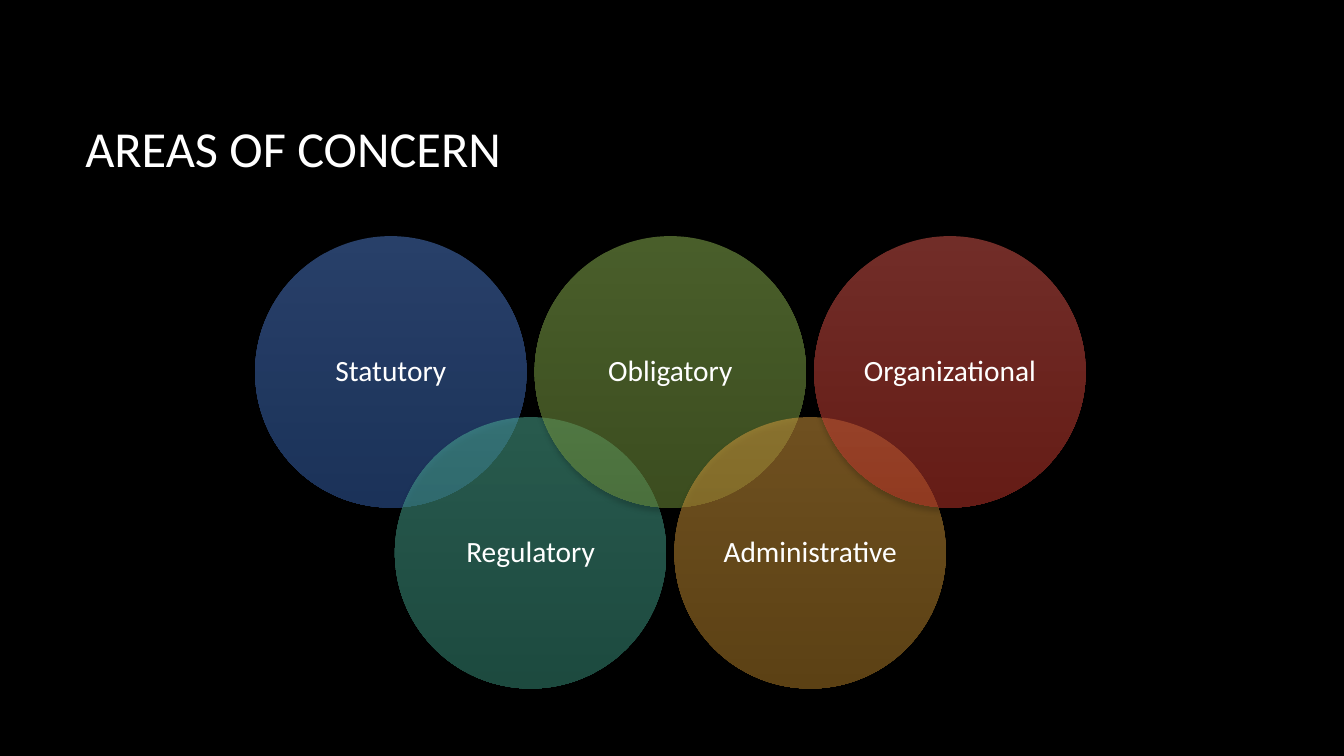
import lxml.etree
import pptx
import pptx.dml.color
import pptx.enum.shapes
import pptx.enum.text
import pptx.oxml
import pptx.oxml.ns
import pptx.util

Cm = pptx.util.Cm
Pt = pptx.util.Pt
qn = pptx.oxml.ns.qn

COLORS = {
    "background": "000000",
    "text": "FFFFFF",
    "shadow": "000000",
    "blue": ("5180D2", "3665B3"),
    "teal": ("50B49B", "3A947F"),
    "green": ("93BC55", "789B3F"),
    "amber": ("DEA040", "B88329"),
    "red": ("E35A51", "CB382C"),
}
TITLE_FONT = {"name": "Calibri", "size": Pt(36)}
LABEL_FONT = {"name": "Calibri", "size": Pt(21)}
CONCERNS = [
    ("Statutory", "blue"),
    ("Regulatory", "teal"),
    ("Obligatory", "green"),
    ("Administrative", "amber"),
    ("Organizational", "red"),
]
SHADOW = (
    f'<a:outerShdw xmlns:a="{pptx.oxml.ns.nsdecls("a").split(chr(34))[1]}" '
    'blurRad="50800" dist="38100" dir="5400000" rotWithShape="0">'
    f'<a:srgbClr val="{COLORS["shadow"]}"><a:alpha val="35000"/></a:srgbClr>'
    "</a:outerShdw>"
)


def rgb(value):
    return pptx.dml.color.RGBColor.from_string(value)


def add_text(shapes, box, text, font, inset, align, line_spacing):
    """Vertically centred single-paragraph text box."""
    text_box = shapes.add_textbox(*box)
    frame_format = {
        "word_wrap": True,
        "vertical_anchor": pptx.enum.text.MSO_ANCHOR.MIDDLE,
        "margin_left": inset,
        "margin_right": inset,
        "margin_top": inset,
        "margin_bottom": inset,
    }
    for name, value in frame_format.items():
        setattr(text_box.text_frame, name, value)
    para = text_box.text_frame.paragraphs[0]
    para.alignment = align
    para.line_spacing = line_spacing
    span = para.add_run()
    span.text = text
    for name, value in font.items():
        setattr(span.font, name, value)
    span.font.color.rgb = rgb(COLORS["text"])


def add_circle(shapes, left, top, diameter, text, color):
    """Translucent gradient circle with its label in the middle."""
    circle = shapes.add_shape(
        pptx.enum.shapes.MSO_SHAPE.OVAL, left, top, diameter, diameter)
    circle.line.fill.background()
    circle.fill.gradient()
    circle.fill.gradient_angle = 270
    for stop, value in zip(circle.fill.gradient_stops, COLORS[color]):
        stop.color.rgb = rgb(value)
    for node in circle.element.spPr.iter(qn("a:srgbClr")):
        lxml.etree.SubElement(node, qn("a:alpha")).set("val", "50000")
    circle.shadow.inherit = False
    effects = circle.element.spPr.find(qn("a:effectLst"))
    effects.append(pptx.oxml.parse_xml(SHADOW))

    margin = Cm(1)
    side = diameter - 2 * margin
    add_text(shapes, (left + margin, top + margin, side, side), text,
             LABEL_FONT, Cm(0.23), pptx.enum.text.PP_ALIGN.CENTER, 0.9)


def add_diagram(page, box):
    """Circles in two staggered rows that fill the box."""
    left, top, width, height = box
    diameter = Cm(6.84)
    step = (width - diameter) // (len(CONCERNS) - 1)
    drop = height - diameter
    group = page.shapes.add_group_shape()
    for index, (text, color) in enumerate(CONCERNS):
        add_circle(group.shapes, left + index * step, top + index % 2 * drop,
                   diameter, text, color)


def main():
    deck = pptx.Presentation()
    deck.slide_width, deck.slide_height = Cm(33.87), Cm(19.05)
    page = deck.slides.add_slide(deck.slide_layouts[6])
    page.background.fill.solid()
    page.background.fill.fore_color.rgb = rgb(COLORS["background"])

    # Title
    add_text(page.shapes, (Cm(1.9), Cm(1.7), Cm(28.15), Cm(4.04)),
             "AREAS OF CONCERN", TITLE_FONT, Cm(0.25),
             pptx.enum.text.PP_ALIGN.LEFT, 1.0)
    # Overlapping areas
    add_diagram(page, (Cm(6.43), Cm(5.95), Cm(20.93), Cm(11.4)))
    deck.save("out.pptx")


if __name__ == "__main__":
    main()
